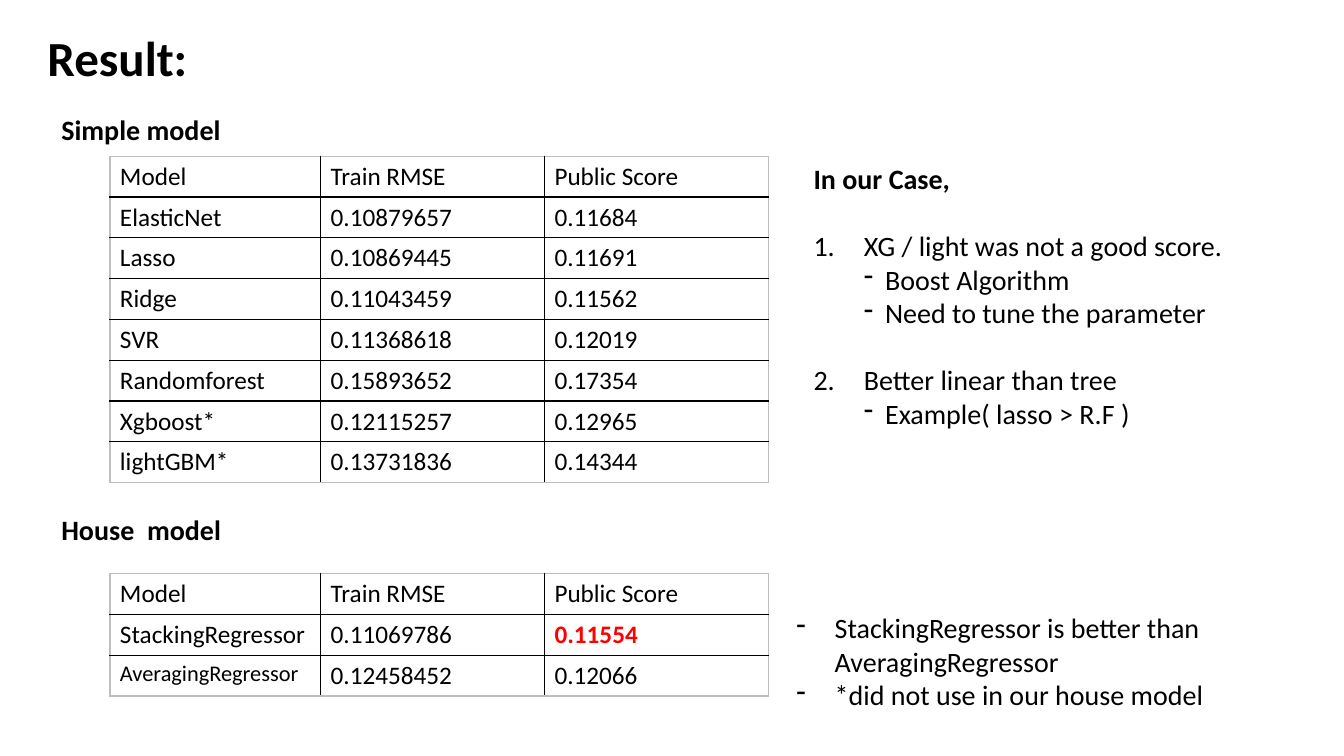
from lxml import etree
from pptx import Presentation
from pptx.dml.color import RGBColor
from pptx.enum.text import MSO_ANCHOR, MSO_AUTO_SIZE, PP_ALIGN
from pptx.oxml.ns import qn
from pptx.util import Inches, Pt

LEFT = PP_ALIGN.LEFT
MIDDLE = MSO_ANCHOR.MIDDLE
NO_AUTOFIT = MSO_AUTO_SIZE.NONE
FONT = "Calibri"
BLACK, RED, GRAY = "000000", "FF0000", "BFBFBF"
TITLE_ONLY = 5
COLUMN_WIDTHS = (2.09, 2.22, 2.22)
ROW_HEIGHT = 0.405
LINE_GAP = 24
HEADER = ("Model", "Train RMSE", "Public Score")
SIMPLE_MODELS = [
    ("ElasticNet", "0.10879657", "0.11684"),
    ("Lasso", "0.10869445", "0.11691"),
    ("Ridge", "0.11043459", "0.11562"),
    ("SVR", "0.11368618", "0.12019"),
    ("Randomforest", "0.15893652", "0.17354"),
    ("Xgboost*", "0.12115257", "0.12965"),
    ("lightGBM*", "0.13731836", "0.14344"),
]
HOUSE_MODELS = [
    ("StackingRegressor", "0.11069786", "0.11554"),
    ("AveragingRegressor", "0.12458452", "0.12066"),
]
CELL_FORMATS = {
    "0.11554": {"color": RED, "bold": True},
    "AveragingRegressor": {"size": 16},
}
NUMBER = {"indent": 0.5, "hanging": 0.5}
DASH = {"bullet": "-", "indent": 0.71, "hanging": 0.21}
REMARK = {"bullet": "-", "indent": 0.38, "hanging": 0.38}
CASE_LINES = [
    ("In our Case,", {"bold": True}),
    ("XG / light was not a good score.", {**NUMBER, "number": 1, "before": LINE_GAP}),
    ("Boost Algorithm", DASH),
    ("Need to tune the parameter", DASH),
    ("Better linear than tree", {**NUMBER, "number": 2, "before": LINE_GAP}),
    ("Example( lasso > R.F )", DASH),
]
REMARK_LINES = [
    ("StackingRegressor is better than AveragingRegressor", REMARK),
    ("*did not use in our house model", REMARK),
]


def rgb(value):
    """Turn a hex string into a colour."""
    return RGBColor.from_string(value)


def format_font(font, size, color=BLACK, bold=False):
    """Apply the slide's font with the given size, colour and weight."""
    for name, value in {"name": FONT, "size": Pt(size), "bold": bold}.items():
        setattr(font, name, value)
    font.color.rgb = rgb(color)


def add_bullet(paragraph, style):
    """Give a paragraph its hanging indent and its number or bullet."""
    properties = paragraph._p.get_or_add_pPr()
    properties.set("marL", str(Inches(style["indent"])))
    properties.set("indent", str(-Inches(style["hanging"])))
    if "number" in style:
        attributes = {"type": "arabicPeriod", "startAt": str(style["number"])}
        etree.SubElement(properties, qn("a:buAutoNum"), attributes)
    else:
        etree.SubElement(properties, qn("a:buChar"), {"char": style["bullet"]})


def add_text(slide, box, lines):
    """Fill a text box with styled lines."""
    shape = slide.shapes.add_textbox(*map(Inches, box))
    frame = shape.text_frame
    frame.word_wrap = True
    for index, (text, style) in enumerate(lines):
        paragraph = frame.add_paragraph() if index else frame.paragraphs[0]
        paragraph.text = text
        if "before" in style:
            paragraph.space_before = Pt(style["before"])
        if "indent" in style:
            add_bullet(paragraph, style)
        format_font(paragraph.runs[0].font, 20, bold=style.get("bold", False))


def add_title(slide, box, text):
    """Place and format the title placeholder."""
    title = slide.shapes.title
    title.left, title.top, title.width, title.height = map(Inches, box)
    frame = title.text_frame
    frame.text = text
    settings = {"word_wrap": False, "auto_size": NO_AUTOFIT, "vertical_anchor": MIDDLE}
    for name, value in settings.items():
        setattr(frame, name, value)
    paragraph = frame.paragraphs[0]
    paragraph.alignment = LEFT
    format_font(paragraph.runs[0].font, 35, bold=True)


def set_borders(cell, outer_edges):
    """Draw gray lines on outer edges and black lines between cells."""
    properties = cell._tc.get_or_add_tcPr()
    for index, (side, is_outer) in enumerate(outer_edges.items()):
        line = etree.Element(qn(f"a:ln{side}"), {"w": str(Pt(1))})
        fill = etree.SubElement(line, qn("a:solidFill"))
        etree.SubElement(fill, qn("a:srgbClr"), {"val": GRAY if is_outer else BLACK})
        properties.insert(index, line)


def add_score_table(slide, left, top, models):
    """Build a score table with a header and one row per model."""
    rows = [HEADER, *models]
    last_row, last_column = len(rows) - 1, len(HEADER) - 1
    box = (left, top, sum(COLUMN_WIDTHS), ROW_HEIGHT * len(rows))
    table = slide.shapes.add_table(len(rows), len(HEADER), *map(Inches, box)).table
    table.first_row = table.horz_banding = False
    for column, width in zip(table.columns, COLUMN_WIDTHS):
        column.width = Inches(width)
    for row_index, values in enumerate(rows):
        table.rows[row_index].height = Inches(ROW_HEIGHT)
        for column_index, value in enumerate(values):
            cell = table.cell(row_index, column_index)
            cell.text = value
            cell.fill.background()
            style = {"size": 18, **CELL_FORMATS.get(value, {})}
            format_font(cell.text_frame.paragraphs[0].runs[0].font, **style)
            set_borders(cell, {
                "L": column_index == 0,
                "R": column_index == last_column,
                "T": row_index == 0,
                "B": row_index == last_row,
            })


def add_model_section(slide, left, top, heading, table_offset, models):
    """Place a heading with its score table below."""
    add_text(slide, (left, top, 2.47, 0.44), [(heading, {"bold": True})])
    add_score_table(slide, left + 0.58, top + table_offset, models)


def main():
    """Build and save the result slide."""
    presentation = Presentation()
    presentation.slide_width = Inches(13.33)
    presentation.slide_height = Inches(7.5)
    slide = presentation.slides.add_slide(presentation.slide_layouts[TITLE_ONLY])
    add_title(slide, (0.37, 0.22, 1.6, 0.69), "Result:")
    add_model_section(slide, 0.51, 1.07, "Simple model", 0.48, SIMPLE_MODELS)
    add_model_section(slide, 0.51, 5.04, "House  model", 0.65, HOUSE_MODELS)
    add_text(slide, (7.97, 1.55, 4.98, 2.79), CASE_LINES)
    add_text(slide, (7.8, 6.01, 4.98, 1.11), REMARK_LINES)
    presentation.save("out.pptx")


if __name__ == "__main__":
    main()
